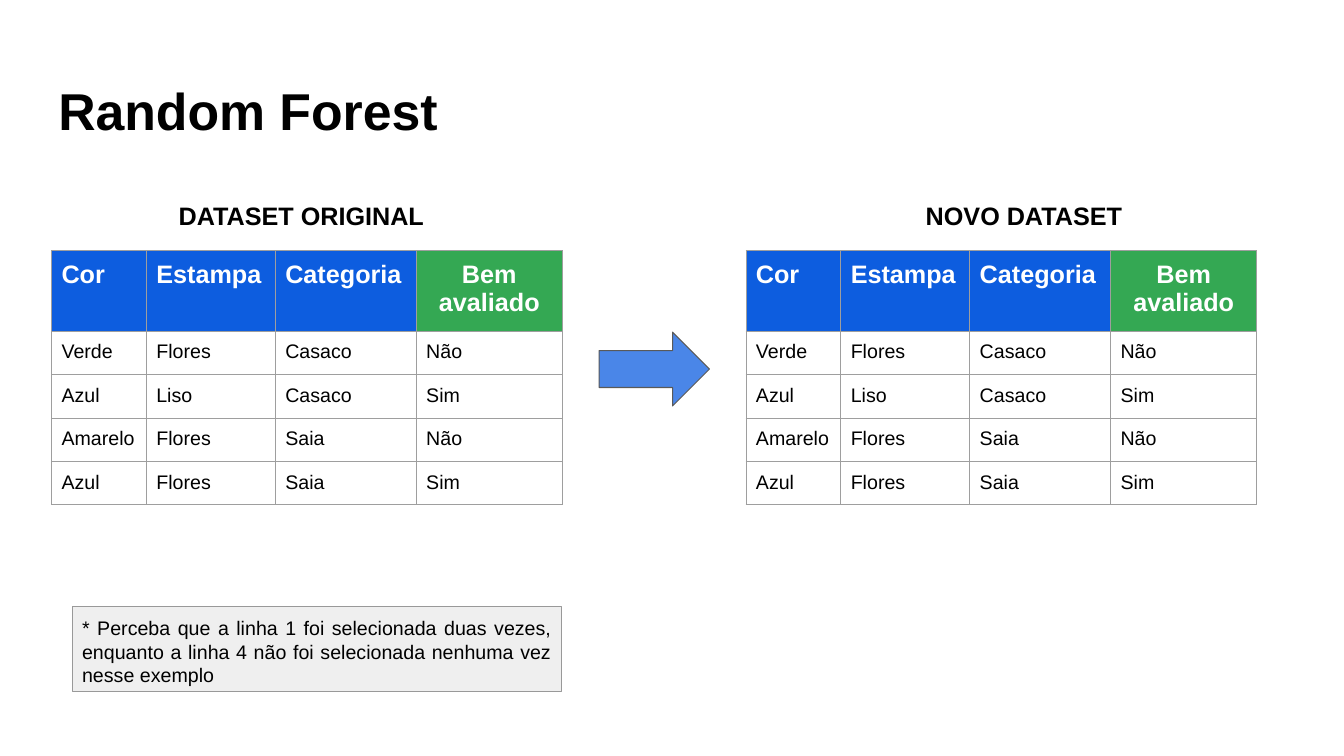
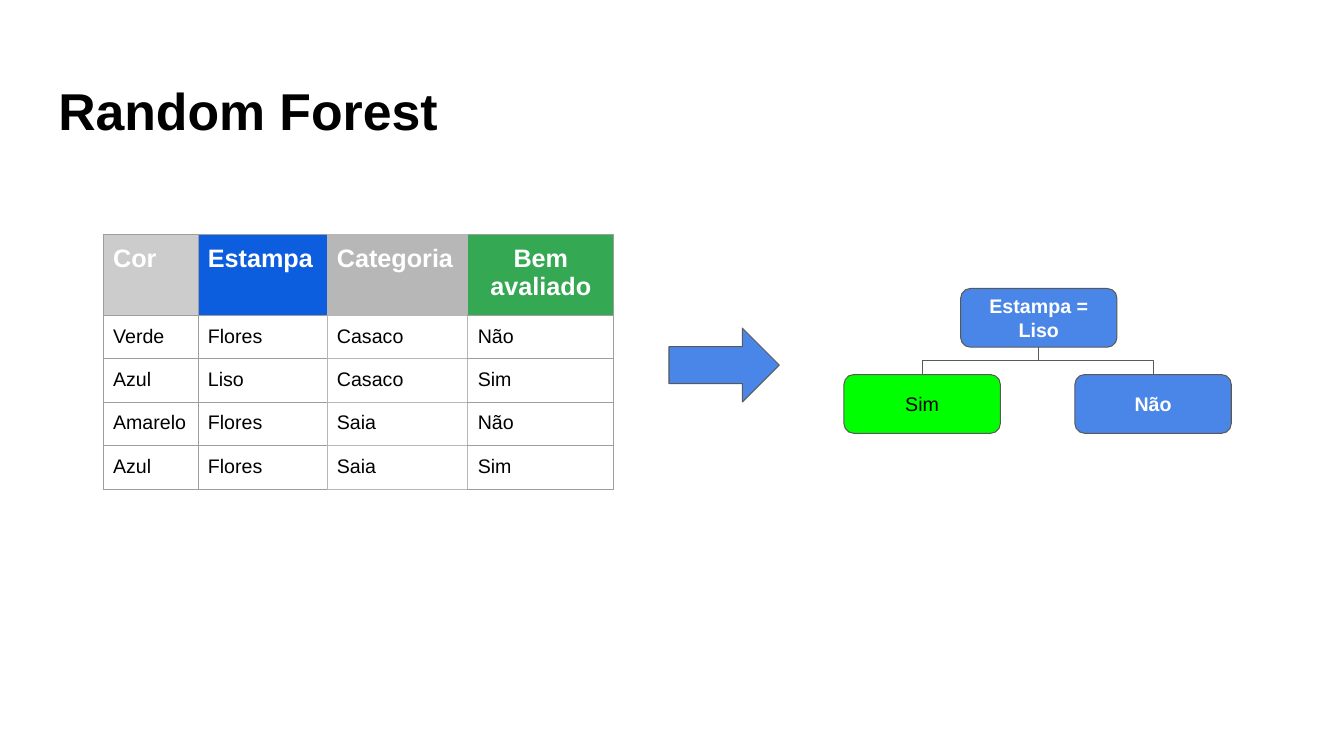
"""Builds two slides on how a random forest samples data and grows a tree."""
from dataclasses import dataclass

from lxml.etree import SubElement
from pptx import Presentation
from pptx.dml.color import RGBColor as Rgb
from pptx.enum.shapes import MSO_CONNECTOR as Link, MSO_SHAPE as Preset
from pptx.enum.text import MSO_ANCHOR as Anchor, PP_ALIGN as Align
from pptx.oxml.ns import qn
from pptx.util import Cm, Pt


@dataclass(frozen=True)
class Theme:
    font: str = "Arial"
    title_size: int = 37
    heading_size: int = 18
    body_size: int = 14
    line_width: float = 0.75
    ink: str = "000000"
    white: str = "FFFFFF"
    feature: str = "0D5DDF"
    target: str = "34A853"
    ignored: str = "CCCCCC"
    ignored_dark: str = "B7B7B7"
    grid: str = "9E9E9E"
    accent: str = "4A86E8"
    leaf: str = "00FF00"
    outline: str = "595959"
    note: str = "EFEFEF"
    note_line: str = "999999"


THEME = Theme()
PADDING = 0.25
COLUMN_WIDTHS = (2.39, 3.25, 3.55, 3.68)
HEADER_HEIGHT, ROW_HEIGHT = 1.93, 1.06
ARROW_SIZE = (2.78, 1.86)
NODE_SIZE = (3.94, 1.48)
HEADINGS = ("Cor", "Estampa", "Categoria", "Bem avaliado")
GARMENTS = (
    ("Verde", "Flores", "Casaco", "Não"),
    ("Azul", "Liso", "Casaco", "Sim"),
    ("Amarelo", "Flores", "Saia", "Não"),
    ("Azul", "Flores", "Saia", "Sim"),
)


class Deck:
    """Holds the theme and the current slide, and draws each kind of element."""

    def __init__(self, theme):
        self.theme = theme
        self.presentation = Presentation()
        self.presentation.slide_width = Cm(33.87)
        self.presentation.slide_height = Cm(19.05)
        self.slide = None

    def new_slide(self, title):
        blank = self.presentation.slide_layouts[6]
        self.slide = self.presentation.slides.add_slide(blank)
        self.label(title, (1.14, 1.65, 31.55, 2.11), self.theme.title_size,
                   Align.LEFT, padding=0.33)

    def set_text(self, frame, text, size, color, bold=False, align=Align.LEFT):
        frame.word_wrap = True
        frame.text = text
        paragraph = frame.paragraphs[0]
        paragraph.alignment = align
        for run in paragraph.runs:
            run.font.name = self.theme.font
            run.font.size = Pt(size)
            run.font.bold = bold
            run.font.color.rgb = Rgb.from_string(color)

    def pad(self, holder, padding=PADDING):
        holder.margin_left = holder.margin_right = Cm(padding)
        holder.margin_top = holder.margin_bottom = Cm(padding)

    def stroke(self, line, color):
        line.color.rgb = Rgb.from_string(color)
        line.width = Pt(self.theme.line_width)

    def label(self, text, box, size, align=Align.CENTER, padding=PADDING):
        frame = self.slide.shapes.add_textbox(*map(Cm, box)).text_frame
        self.pad(frame, padding)
        self.set_text(frame, text, size, self.theme.ink, True, align)

    def shape(self, preset, box, fill, line):
        shape = self.slide.shapes.add_shape(preset, *map(Cm, box))
        shape.shadow.inherit = False
        shape.fill.solid()
        shape.fill.fore_color.rgb = Rgb.from_string(fill)
        self.stroke(shape.line, line)
        self.pad(shape.text_frame)
        return shape

    def arrow(self, left, top):
        self.shape(Preset.RIGHT_ARROW, (left, top, *ARROW_SIZE),
                   self.theme.accent, self.theme.outline)

    def note(self, text, box):
        frame = self.shape(Preset.RECTANGLE, box, self.theme.note,
                           self.theme.note_line).text_frame
        frame.vertical_anchor = Anchor.TOP
        self.set_text(frame, text, self.theme.body_size, self.theme.ink,
                      align=Align.JUSTIFY)

    def node(self, text, left, top, is_leaf=False):
        theme = self.theme
        fill = theme.leaf if is_leaf else theme.accent
        color = theme.ink if is_leaf else theme.white
        node = self.shape(Preset.ROUNDED_RECTANGLE, (left, top, *NODE_SIZE),
                          fill, theme.outline)
        node.text_frame.vertical_anchor = Anchor.MIDDLE
        self.set_text(node.text_frame, text, theme.body_size, color,
                      not is_leaf, Align.CENTER)
        return node

    def branch(self, parent, child):
        branch = self.slide.shapes.add_connector(Link.ELBOW, 0, 0, 0, 0)
        branch.begin_connect(parent, 2)
        branch.end_connect(child, 0)
        start_x, start_y = branch.begin_x, branch.begin_y
        across, down = branch.end_x - start_x, branch.end_y - start_y
        branch.width, branch.height = down, abs(across)
        branch.left = start_x + (across - down) // 2
        branch.top = start_y + (down - abs(across)) // 2
        properties = branch._element.spPr
        frame = properties.find(qn("a:xfrm"))
        goes_right = across > 0
        frame.set("rot", str((270 if goes_right else 90) * 60000))
        frame.set("flipH", "1" if goes_right else "0")
        frame.set("flipV", "0")
        self.stroke(branch.line, self.theme.outline)
        SubElement(properties, qn("a:effectLst"))

    def borders(self, cell, left, right, other):
        properties = cell._tc.get_or_add_tcPr()
        sides = {"a:lnL": left, "a:lnR": right, "a:lnT": other, "a:lnB": other}
        for side, color in sides.items():
            line = SubElement(properties, qn(side),
                              w=str(Pt(self.theme.line_width)))
            fill = SubElement(line, qn("a:solidFill"))
            SubElement(fill, qn("a:srgbClr"), val=color)

    def dataset(self, left, top, header_fills):
        theme = self.theme
        height = HEADER_HEIGHT + ROW_HEIGHT * len(GARMENTS)
        table = self.slide.shapes.add_table(
            len(GARMENTS) + 1, len(HEADINGS), Cm(left), Cm(top),
            Cm(sum(COLUMN_WIDTHS)), Cm(height)).table
        table.first_row = table.horz_banding = False
        for column, width in zip(table.columns, COLUMN_WIDTHS):
            column.width = Cm(width)
        edges = [theme.ignored_dark if fill == theme.ignored_dark
                 else theme.grid for fill in header_fills]
        last = len(HEADINGS) - 1
        for r, values in enumerate((HEADINGS, *GARMENTS)):
            table.rows[r].height = Cm(ROW_HEIGHT if r else HEADER_HEIGHT)
            for c, value in enumerate(values):
                cell = table.cell(r, c)
                self.pad(cell)
                near = {edges[max(c - 1, 0)], edges[c]}
                far = {edges[c], edges[min(c + 1, last)]}
                self.borders(cell, max(near), max(far), edges[c])
                if r:
                    cell.fill.background()
                    self.set_text(cell.text_frame, value, theme.body_size,
                                  theme.ink)
                else:
                    cell.fill.solid()
                    cell.fill.fore_color.rgb = Rgb.from_string(header_fills[c])
                    align = Align.CENTER if c == last else Align.LEFT
                    self.set_text(cell.text_frame, value, theme.heading_size,
                                  theme.white, True, align)


def sampling_slide(deck):
    """Shows the source data set beside the sampled one."""
    theme = deck.theme
    deck.new_slide("Random Forest")
    fills = (theme.feature,) * 3 + (theme.target,)
    for caption, caption_left, table_left in (
            ("DATASET ORIGINAL", 2.97, 1.3), ("NOVO DATASET", 21.18, 18.8)):
        deck.label(caption, (caption_left, 4.8, 9.25, 1.3),
                   theme.heading_size)
        deck.dataset(table_left, 6.32, fills)
    deck.arrow(15.1, 8.37)
    deck.note("* Perceba que a linha 1 foi selecionada duas vezes, enquanto a "
              "linha 4 não foi selecionada nenhuma vez nesse exemplo",
              (1.82, 15.28, 12.33, 2.15))


def tree_slide(deck):
    """Shows the chosen feature and the tree that it starts."""
    theme = deck.theme
    deck.new_slide("Random Forest")
    deck.dataset(2.6, 5.92, (theme.ignored, theme.feature,
                             theme.ignored_dark, theme.target))
    deck.arrow(16.86, 8.27)
    question = deck.node("Estampa = Liso", 24.21, 7.27)
    for answer, left, is_leaf in (("Sim", 21.27, True), ("Não", 27.09, False)):
        deck.branch(question, deck.node(answer, left, 9.44, is_leaf))


def main():
    """Builds and saves the deck."""
    deck = Deck(THEME)
    sampling_slide(deck)
    tree_slide(deck)
    deck.presentation.save("out.pptx")


if __name__ == "__main__":
    main()
